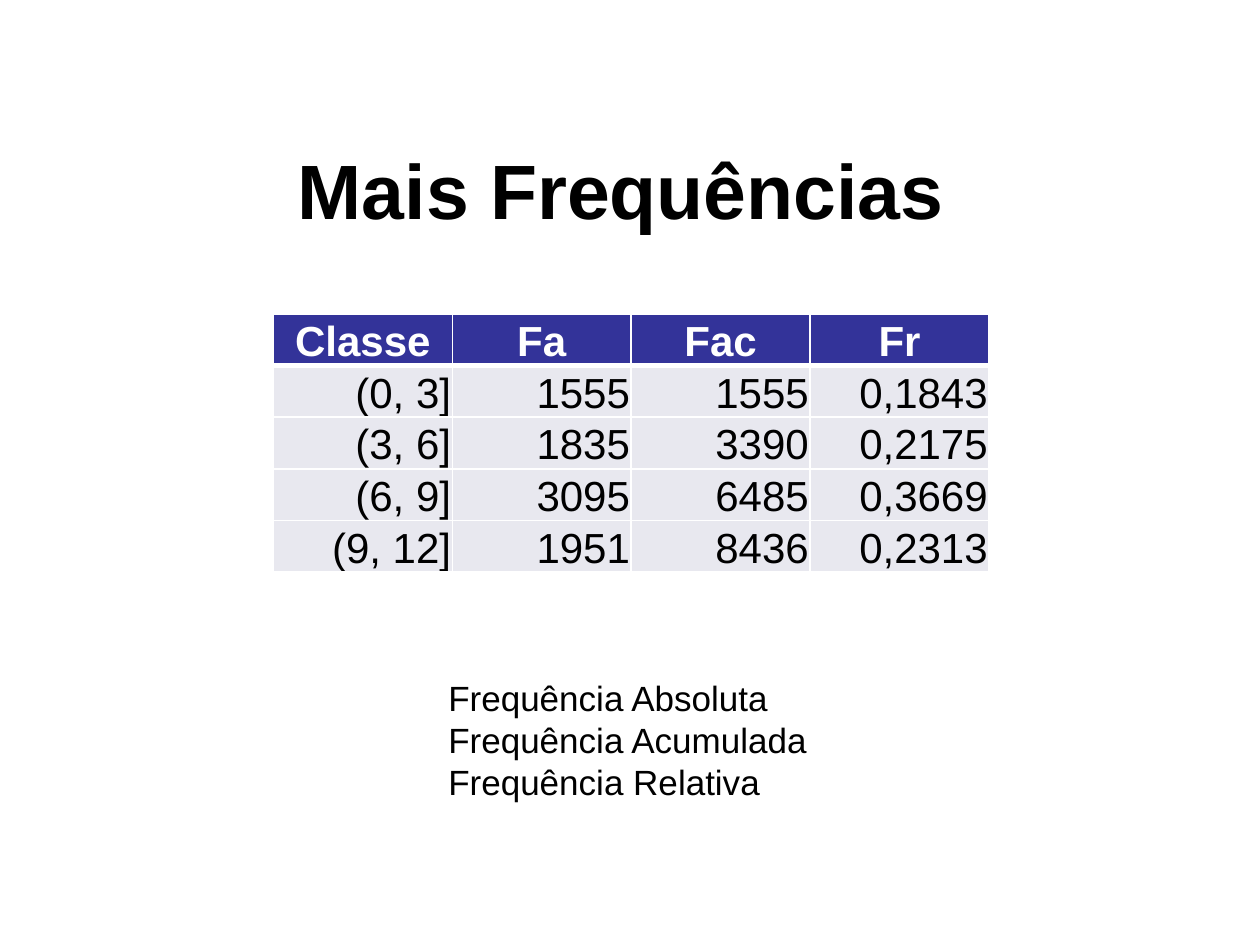
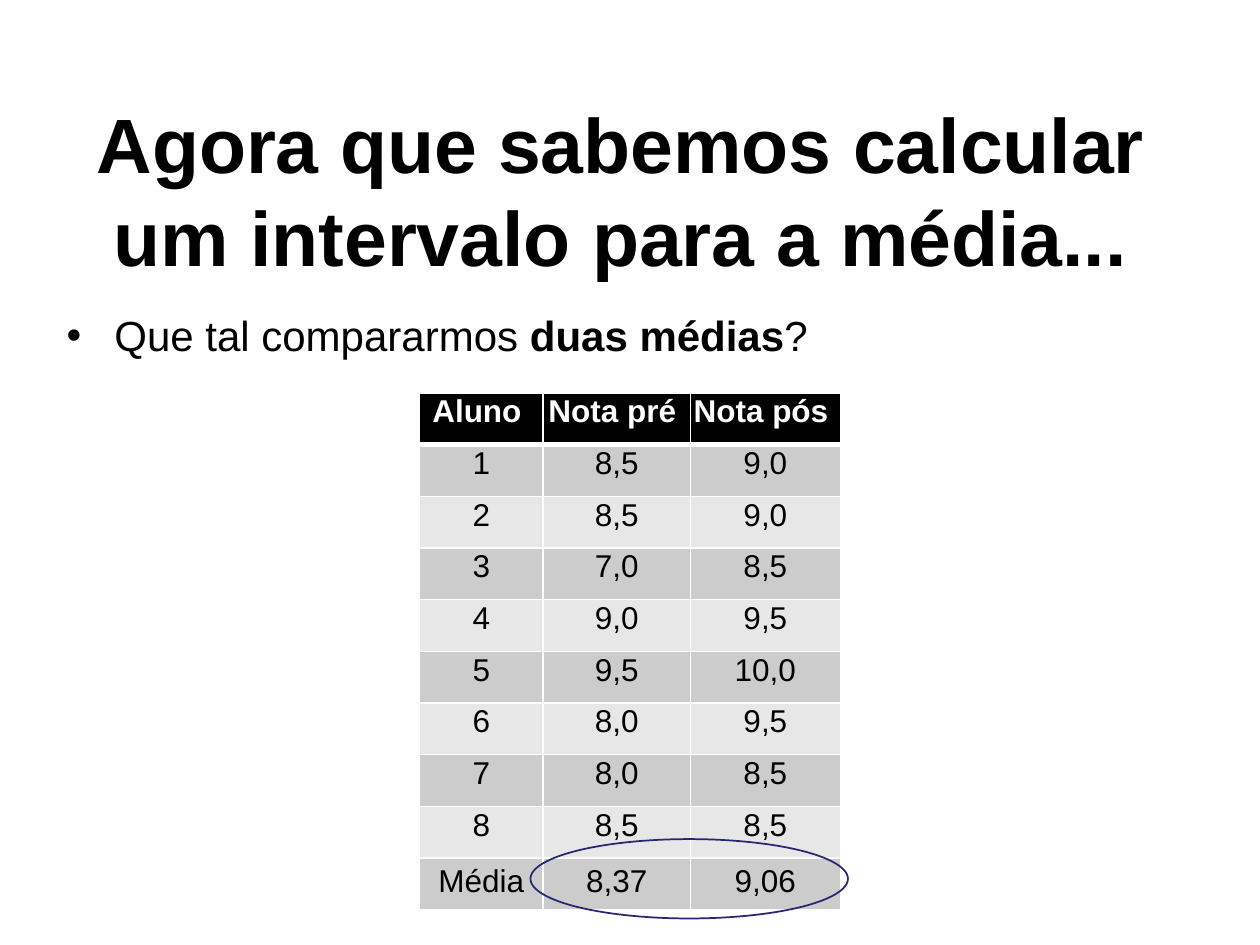
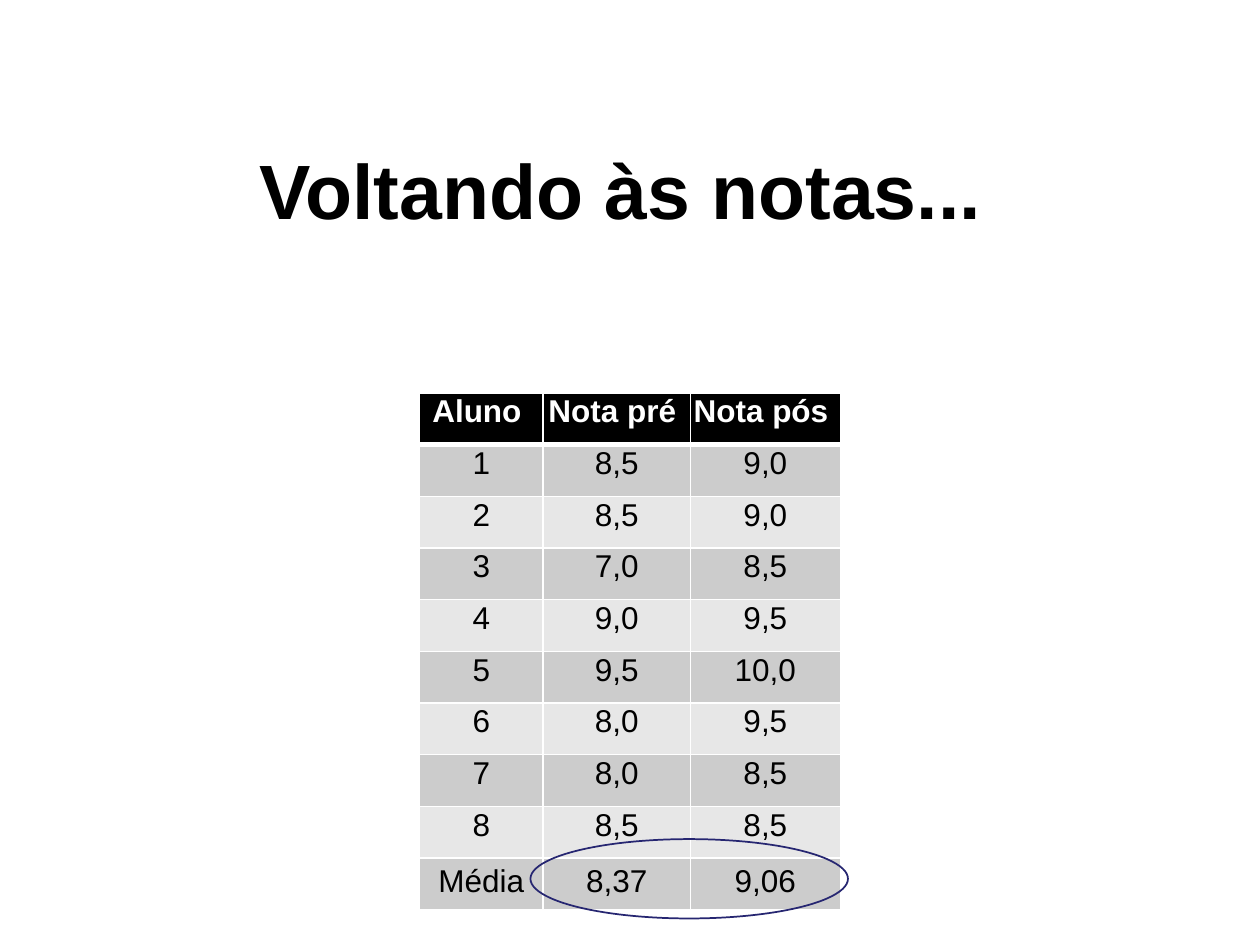
import dataclasses

import lxml.etree
import pptx
import pptx.dml.color
import pptx.enum.shapes
import pptx.enum.text
import pptx.oxml.ns
import pptx.util

Inches = pptx.util.Inches
Pt = pptx.util.Pt
Align = pptx.enum.text.PP_ALIGN
Anchor = pptx.enum.text.MSO_ANCHOR
rgb = pptx.dml.color.RGBColor.from_string
qn = pptx.oxml.ns.qn


@dataclasses.dataclass(frozen=True)
class Theme:
    font: str = "Arial"
    ink: str = "000000"
    paper: str = "FFFFFF"
    indigo: str = "333399"
    lavender: str = "E8E8EF"
    dark_gray: str = "CCCCCC"
    light_gray: str = "E7E7E7"
    outline: str = "262671"
    title_size: int = 44
    body_size: int = 24
    legend_size: int = 20
    grades_size: int = 18


THEME = Theme()


def style(paragraph, size, color=THEME.ink, bold=None, align=None):
    paragraph.alignment = align
    paragraph.font.name = THEME.font
    paragraph.font.size = Pt(size)
    paragraph.font.color.rgb = rgb(color)
    paragraph.font.bold = bold


def fill_table(table, rows, widths, row_height, size, header_fill, bands, align, anchor):
    for column, width in zip(table.columns, widths):
        column.width = Inches(width)
    for r, values in enumerate(rows):
        table.rows[r].height = Inches(row_height)
        for c, value in enumerate(values):
            cell = table.cell(r, c)
            cell.text = value
            cell.vertical_anchor = anchor
            if values[0] != "Média":
                cell.margin_left = cell.margin_right = cell.margin_top = Inches(0.01)
                cell.margin_bottom = 0
            heavy_side = {0: "lnB", 1: "lnT"}.get(r)
            for side in ("lnL", "lnR", "lnT", "lnB"):
                width = Pt(3 if side == heavy_side else 1)
                border = lxml.etree.SubElement(cell._tc.get_or_add_tcPr(), qn(f"a:{side}"), w=str(width))
                paint = lxml.etree.SubElement(border, qn("a:solidFill"))
                lxml.etree.SubElement(paint, qn("a:srgbClr"), val=THEME.paper)
            cell.fill.solid()
            cell.fill.fore_color.rgb = rgb(bands[(r - 1) % len(bands)] if r else header_fill)
            style(cell.text_frame.paragraphs[0], size, THEME.ink if r else THEME.paper,
                  r == 0, align if r else Align.CENTER)


frequencies = [
    ("Classe", "Fa", "Fac", "Fr"),
    ("(0, 3]", "1555", "1555", "0,1843"),
    ("(3, 6]", "1835", "3390", "0,2175"),
    ("(6, 9]", "3095", "6485", "0,3669"),
    ("(9, 12]", "1951", "8436", "0,2313"),
]
grades = [
    ("Aluno ", "Nota pré ", "Nota pós "),
    ("1", "8,5", "9,0"),
    ("2", "8,5", "9,0"),
    ("3", "7,0", "8,5"),
    ("4", "9,0", "9,5"),
    ("5", "9,5", "10,0"),
    ("6", "8,0", "9,5"),
    ("7", "8,0", "8,5"),
    ("8", "8,5", "8,5"),
    ("Média", "8,37", "9,06"),
]
titles = [
    "Mais Frequências",
    "Agora que sabemos calcular um intervalo para a média...",
    "Voltando às notas...",
]

prs = pptx.Presentation()
prs.slide_width = Inches(10)
prs.slide_height = Inches(7.5)

slides = []
for title in titles:
    slide = prs.slides.add_slide(prs.slide_layouts[6])
    heading = slide.shapes.add_textbox(Inches(0.43), Inches(0.99), Inches(9), Inches(1.02)).text_frame
    heading.word_wrap = True
    heading.vertical_anchor = Anchor.MIDDLE
    heading.text = title
    style(heading.paragraphs[0], THEME.title_size, bold=True, align=Align.CENTER)
    slides.append(slide)
frequency_slide, comparison_slide, grades_slide = slides

frequency_table = frequency_slide.shapes.add_table(
    len(frequencies), 4, Inches(2.17), Inches(2.49), Inches(5.67), Inches(1.9)).table
fill_table(frequency_table, frequencies, [1.42] * 4, 0.38, THEME.body_size,
           THEME.indigo, [THEME.lavender], Align.RIGHT, Anchor.BOTTOM)

legend = frequency_slide.shapes.add_textbox(Inches(3.46), Inches(5.32), Inches(3.07), Inches(1.11)).text_frame
legend.word_wrap = False
legend.auto_size = pptx.enum.text.MSO_AUTO_SIZE.SHAPE_TO_FIT_TEXT
legend.text = "Frequência Absoluta\nFrequência Acumulada\nFrequência Relativa"
for paragraph in legend.paragraphs:
    style(paragraph, THEME.legend_size)

question = comparison_slide.shapes.add_textbox(Inches(0.43), Inches(2.41), Inches(9), Inches(4.25)).text_frame
question.word_wrap = True
prompt = question.paragraphs[0]
for words, bold in (("Que tal compararmos ", False), ("duas médias", True), ("?", False)):
    run = prompt.add_run()
    run.text = words
    run.font.bold = bold
indent = prompt._p.get_or_add_pPr()
indent.set("marL", str(Inches(0.38)))
indent.set("indent", str(-Inches(0.38)))
lxml.etree.SubElement(indent, qn("a:buFont"), typeface=THEME.font)
lxml.etree.SubElement(indent, qn("a:buChar"), char="•")
style(prompt, THEME.body_size)

for slide in (comparison_slide, grades_slide):
    grades_table = slide.shapes.add_table(
        len(grades), 3, Inches(3.33), Inches(3.12), Inches(3.33), Inches(4.06)).table
    fill_table(grades_table, grades, [0.98, 1.17, 1.19], 0.41, THEME.grades_size,
               THEME.ink, [THEME.dark_gray, THEME.light_gray], Align.CENTER, Anchor.TOP)
    means_ring = slide.shapes.add_shape(
        pptx.enum.shapes.MSO_SHAPE.OVAL, Inches(4.21), Inches(6.66), Inches(2.52), Inches(0.63))
    means_ring.shadow.inherit = False
    means_ring.fill.background()
    means_ring.line.color.rgb = rgb(THEME.outline)
    means_ring.line.width = Pt(1)

prs.save("out.pptx")
